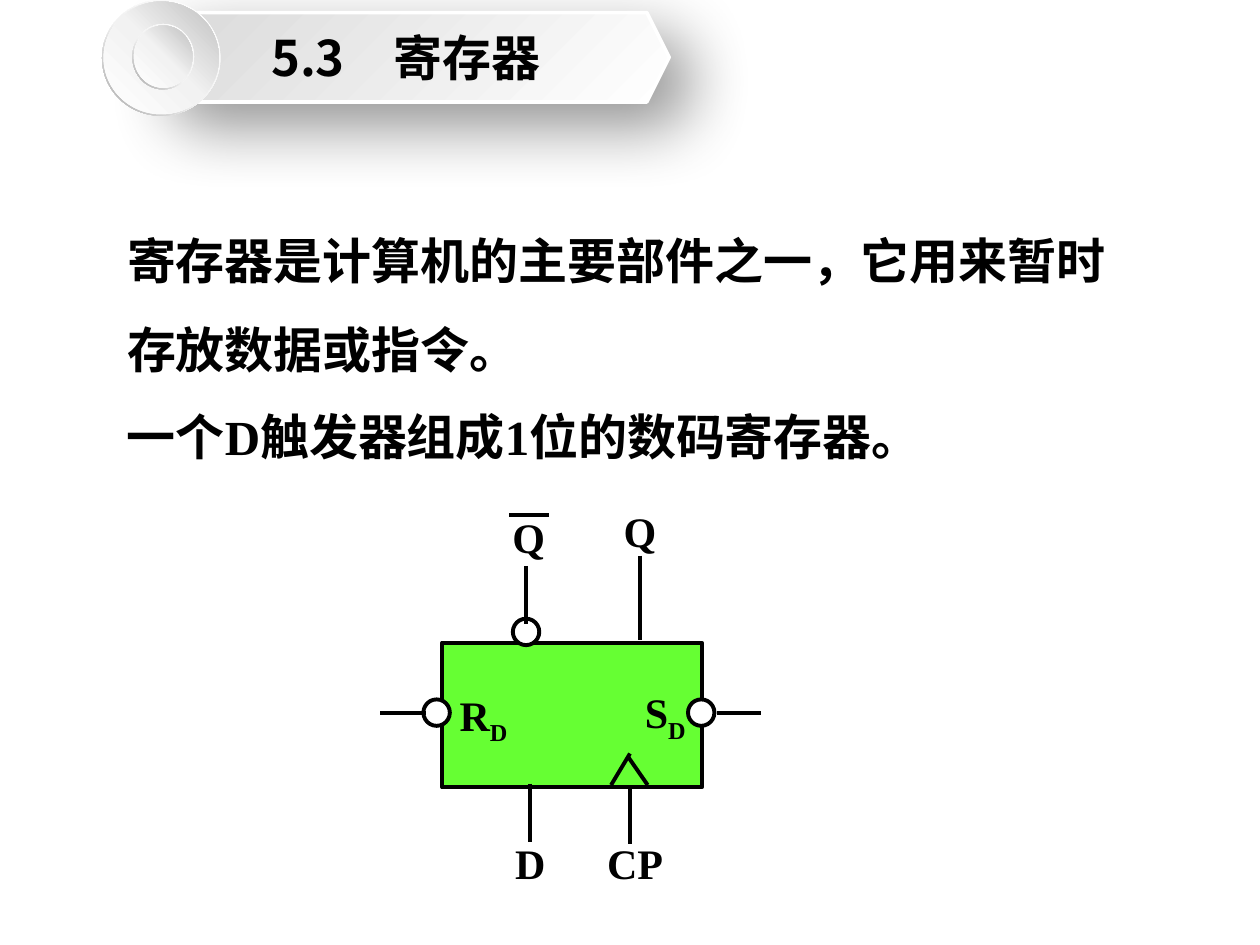
"""Build the slide on registers with the D flip-flop symbol."""
from dataclasses import dataclass

from lxml import etree
from pptx import Presentation
from pptx import util as u
from pptx.dml.color import RGBColor
from pptx.enum import shapes, text
from pptx.oxml.ns import nsdecls, qn


@dataclass(frozen=True)
class Theme:
    ink: str = "000000"
    paper: str = "FFFFFF"
    block: str = "66FF33"
    latin: str = "Times New Roman"
    cjk: str = "Noto Sans CJK SC"
    body: int = 28
    label: int = 24
    stroke: float = 2.25


T = Theme()
KIND = shapes.MSO_SHAPE
BANNER = ("5.3　寄存器", (81.4, 7.2, 301, 51.1))
BANNER_FILL = ([(0, "FFFFFF"), (100, "D9D9D9")], 225)
RING_FILL = ([(0, "FFFFFF"), (55, "F2F2F2"), (100, "A6A6A6")], 135)
DISC_FILL = ([(0, "FFFFFF"), (51, "F2F2F2"), (100, "BFBFBF")], 315)
KNOBS = [(58.3, 0, 67.7, 66.2), (75.6, 13.7, 35.3, 37.4)]
RIM = 0.9
SHADOW = {"alpha": 42, "blur": 38, "dist": 19, "dir": 45}

BODY = [
    ("寄存器是计算机的主要部件之一，它用来暂时存放数据或指令。", (65.5, 111.6, 589, 103), 1.5, True),
    ("一个D触发器组成1位的数码寄存器。", (65.5, 229, 475.2, 41), None, False),
]
BLOCK = (252.7, 367.2, 148.3, 82.8)
BUBBLE = 15.1
BUBBLES = [(249.5, 407.2), (400.7, 407.2), (300.6, 361.1)]
WIRES = [
    ((409.7, 407.5), (434.9, 407.5)),
    ((217.4, 407.5), (243.4, 407.5)),
    ((303.1, 447.8), (303.1, 481)),
    ((360, 449.3), (360, 482.4)),
    ((349.2, 448.6), (360, 430.6)),
    ((358.6, 432), (370.1, 448.6)),
    ((290.9, 294.5), (313.9, 294.5)),
    ((300.5, 323.3), (300.5, 356.4)),
    ((365.8, 317.5), (365.8, 365.8)),
]
LABEL_HEIGHT = 36.7
LABELS = [
    ("R", "D", (255.6, 390.2, 59.8)),
    ("S", "D", (361.4, 388.8, 48.2)),
    ("D", "", (287.3, 475.2, 45.4)),
    ("CP", "", (339.8, 475.2, 63.4)),
    ("Q", "", (349.2, 285.1, 46.8)),
    ("Q", "", (285.8, 288.7, 38.9)),
]


def pts(values):
    return [u.Pt(v) for v in values]


def style_run(r, size, latin=T.latin):
    r.font.size, r.font.bold, r.font.name = u.Pt(size), True, latin
    r.font.color.rgb = RGBColor.from_string(T.ink)
    ea = etree.SubElement(r.font._element, qn("a:ea"))
    ea.set("typeface", T.cjk)


def add_shape(s, kind, box, fill=None, line=None, width=T.stroke):
    sp = s.shapes.add_shape(kind, *pts(box))
    sp.shadow.inherit = False
    if fill:
        sp.fill.solid()
        sp.fill.fore_color.rgb = RGBColor.from_string(fill)
    if line:
        sp.line.color.rgb = RGBColor.from_string(line)
        sp.line.width = u.Pt(width)
    else:
        sp.line.fill.background()
    return sp


def set_gradient(sp, stops, angle):
    items = "".join(
        f'<a:gs pos="{pos * 1000}"><a:srgbClr val="{color}"/></a:gs>' for pos, color in stops)
    grad = etree.fromstring(
        f'<a:gradFill {nsdecls("a")} rotWithShape="1"><a:gsLst>{items}</a:gsLst>'
        f'<a:lin ang="{angle * 60000}" scaled="0"/></a:gradFill>')
    sp._element.spPr.find(qn("a:prstGeom")).addnext(grad)


def add_shadow(sp, alpha, blur, dist, **kw):
    effects = sp._element.spPr.find(qn("a:effectLst"))
    effects.append(etree.fromstring(
        f'<a:outerShdw {nsdecls("a")} blurRad="{u.Pt(blur)}" dist="{u.Pt(dist)}" '
        f'dir="{kw["dir"] * 60000}" algn="tl" rotWithShape="0"><a:srgbClr val="{T.ink}">'
        f'<a:alpha val="{alpha * 1000}"/></a:srgbClr></a:outerShdw>'))


def add_banner(s):
    title, box = BANNER
    sp = add_shape(s, KIND.HEXAGON, box, line=T.paper, width=2)
    set_gradient(sp, *BANNER_FILL)
    add_shadow(sp, **SHADOW)
    tf = sp.text_frame
    tf.text = title
    tf.vertical_anchor = text.MSO_ANCHOR.MIDDLE
    p = tf.paragraphs[0]
    p.alignment = text.PP_ALIGN.CENTER
    style_run(p.runs[0], T.body, T.cjk)
    for x, y, w, h in KNOBS:
        ring = add_shape(s, KIND.DONUT, (x, y, w, h))
        ring.adjustments[0] = 0.05
        set_gradient(ring, *RING_FILL)
        disc = add_shape(s, KIND.OVAL, (x + RIM, y + RIM, w - 2 * RIM, h - 2 * RIM))
        set_gradient(disc, *DISC_FILL)


def add_text(s, words, box, size, spacing=None, wrap=True, subscript=""):
    tf = s.shapes.add_textbox(*pts(box)).text_frame
    tf.text = words
    tf.word_wrap = wrap
    tf.auto_size = text.MSO_AUTO_SIZE.SHAPE_TO_FIT_TEXT
    p = tf.paragraphs[0]
    if spacing:
        p.line_spacing = spacing
    if subscript:
        p.add_run().text = subscript
    for r in p.runs:
        style_run(r, size)
    if subscript:
        p.runs[1].font._element.set("baseline", "-25000")


def add_wire(s, start, end):
    line = s.shapes.add_connector(shapes.MSO_CONNECTOR.STRAIGHT, *pts(start + end))
    line.line.color.rgb = RGBColor.from_string(T.ink)
    line.line.width = u.Pt(T.stroke)
    etree.SubElement(line._element.spPr, qn("a:effectLst"))


def add_flip_flop(s):
    add_shape(s, KIND.RECTANGLE, BLOCK, T.block, T.ink)
    for x, y in BUBBLES:
        box = (x - BUBBLE / 2, y - BUBBLE / 2, BUBBLE, BUBBLE)
        add_shape(s, KIND.OVAL, box, T.paper, T.ink)
    for start, end in WIRES:
        add_wire(s, start, end)
    for name, subscript, place in LABELS:
        add_text(s, name, place + (LABEL_HEIGHT,), T.label, subscript=subscript)


def main():
    prs = Presentation()
    prs.slide_width, prs.slide_height = pts((720, 540))
    s = prs.slides.add_slide(prs.slide_layouts[6])
    add_banner(s)
    for words, box, spacing, wrap in BODY:
        add_text(s, words, box, T.body, spacing, wrap)
    add_flip_flop(s)
    prs.save("out.pptx")


if __name__ == "__main__":
    main()
